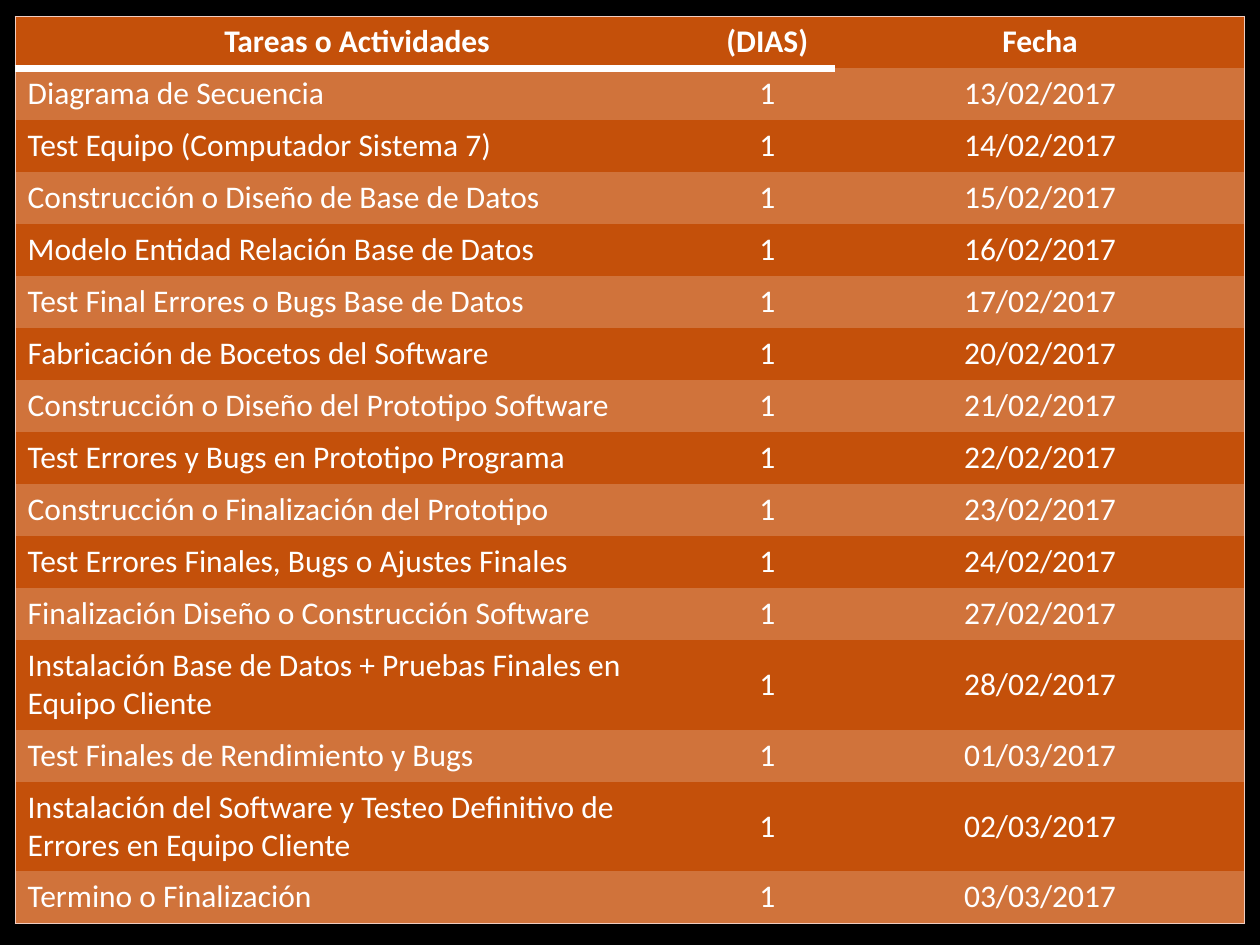
from pptx import Presentation
from pptx.dml.color import RGBColor as RGB
from pptx.enum.text import MSO_ANCHOR as Anchor, PP_ALIGN as Align
from pptx.oxml.ns import qn
from pptx.util import Inches, Pt
from lxml.etree import SubElement as Sub

# Content: task, days, date
HEAD = ("Tareas o Actividades", "(DIAS)", "Fecha")
TASKS = [
    ("Diagrama de Secuencia", "1", "13/02/2017"),
    ("Test Equipo (Computador Sistema 7)", "1", "14/02/2017"),
    ("Construcción o Diseño de Base de Datos", "1", "15/02/2017"),
    ("Modelo Entidad Relación Base de Datos", "1", "16/02/2017"),
    ("Test Final Errores o Bugs Base de Datos", "1", "17/02/2017"),
    ("Fabricación de Bocetos del Software", "1", "20/02/2017"),
    ("Construcción o Diseño del Prototipo Software", "1", "21/02/2017"),
    ("Test Errores y Bugs en Prototipo Programa", "1", "22/02/2017"),
    ("Construcción o Finalización del Prototipo", "1", "23/02/2017"),
    ("Test Errores Finales, Bugs o Ajustes Finales", "1", "24/02/2017"),
    ("Finalización Diseño o Construcción Software", "1", "27/02/2017"),
    ("Instalación Base de Datos + Pruebas Finales en Equipo Cliente",
     "1", "28/02/2017"),
    ("Test Finales de Rendimiento y Bugs", "1", "01/03/2017"),
    ("Instalación del Software y Testeo Definitivo de Errores en Equipo Cliente",
     "1", "02/03/2017"),
    ("Termino o Finalización", "1", "03/03/2017"),
]
ROWS = [HEAD] + TASKS
TALL = {12, 14}  # rows whose task takes two lines

THEME = {
    "back": "000000", "dark": "C4500A", "band": "D0733B",
    "text": "FFFFFF", "edge": "F0CDC1", "font": "Calibri", "size": 18,
    "thin": 0.75, "thick": 5,
}

# Layout in inches
LEFT, TOP, HIGH = 0.12, 0.13, 7.2
COLS = (5.43, 1.08, 3.25)
TALL_H = 0.71
ROW_H = (HIGH - TALL_H * len(TALL)) / (len(ROWS) - len(TALL))
PLAIN = "{2D5ABB26-0587-4C30-8999-92F81FD0307C}"  # style with no grid


def put_text(cell, text, bold=False, align=Align.LEFT, space=None):
    cell.vertical_anchor = Anchor.TOP
    par = cell.text_frame.paragraphs[0]
    par.alignment = align
    if space:
        par.line_spacing = space
    run = par.add_run()
    run.text = text
    font = run.font
    font.name, font.size, font.bold = THEME["font"], Pt(THEME["size"]), bold
    font.color.rgb = RGB.from_string(THEME["text"])


def add_edge(cell, side, color, width):
    line = Sub(cell._tc.get_or_add_tcPr(), qn("a:ln" + side), w=str(Pt(width)))
    fill = Sub(line, qn("a:solidFill"))
    Sub(fill, qn("a:srgbClr"), val=THEME[color])


def draw_edges(cell, row, col):
    last = len(ROWS) - 1
    outer = {"L": col == 0, "R": col == len(COLS) - 1,
             "T": row == 0, "B": row == last}
    for side, shown in outer.items():
        if shown:
            add_edge(cell, side, "edge", THEME["thin"])
        elif side == "B" and row == 0 and col < 2:
            # Thick rule under the first two headings
            add_edge(cell, side, "text", THEME["thick"])


def add_tasks(slide):
    frame = slide.shapes.add_table(
        len(ROWS), len(COLS), Inches(LEFT), Inches(TOP),
        Inches(sum(COLS)), Inches(HIGH))
    table = frame.table
    table.first_row = table.horz_banding = False
    table._tbl.tblPr.find(qn("a:tableStyleId")).text = PLAIN
    for col, wide in enumerate(COLS):
        table.columns[col].width = Inches(wide)
    for row, texts in enumerate(ROWS):
        tall = row in TALL
        table.rows[row].height = Inches(TALL_H if tall else ROW_H)
        for col, text in enumerate(texts):
            cell = table.cell(row, col)
            left = row > 0 and col == 0
            put_text(cell, text, bold=row == 0,
                     align=Align.LEFT if left else Align.CENTER,
                     space=1.5 if tall and col else None)
            draw_edges(cell, row, col)
            cell.fill.solid()
            shade = THEME["band" if row % 2 else "dark"]
            cell.fill.fore_color.rgb = RGB.from_string(shade)


def main():
    deck = Presentation()
    deck.slide_width, deck.slide_height = Inches(10), Inches(7.5)
    slide = deck.slides.add_slide(deck.slide_layouts[6])
    back = slide.background.fill
    back.solid()
    back.fore_color.rgb = RGB.from_string(THEME["back"])
    add_tasks(slide)
    deck.save("out.pptx")


if __name__ == "__main__":
    main()
